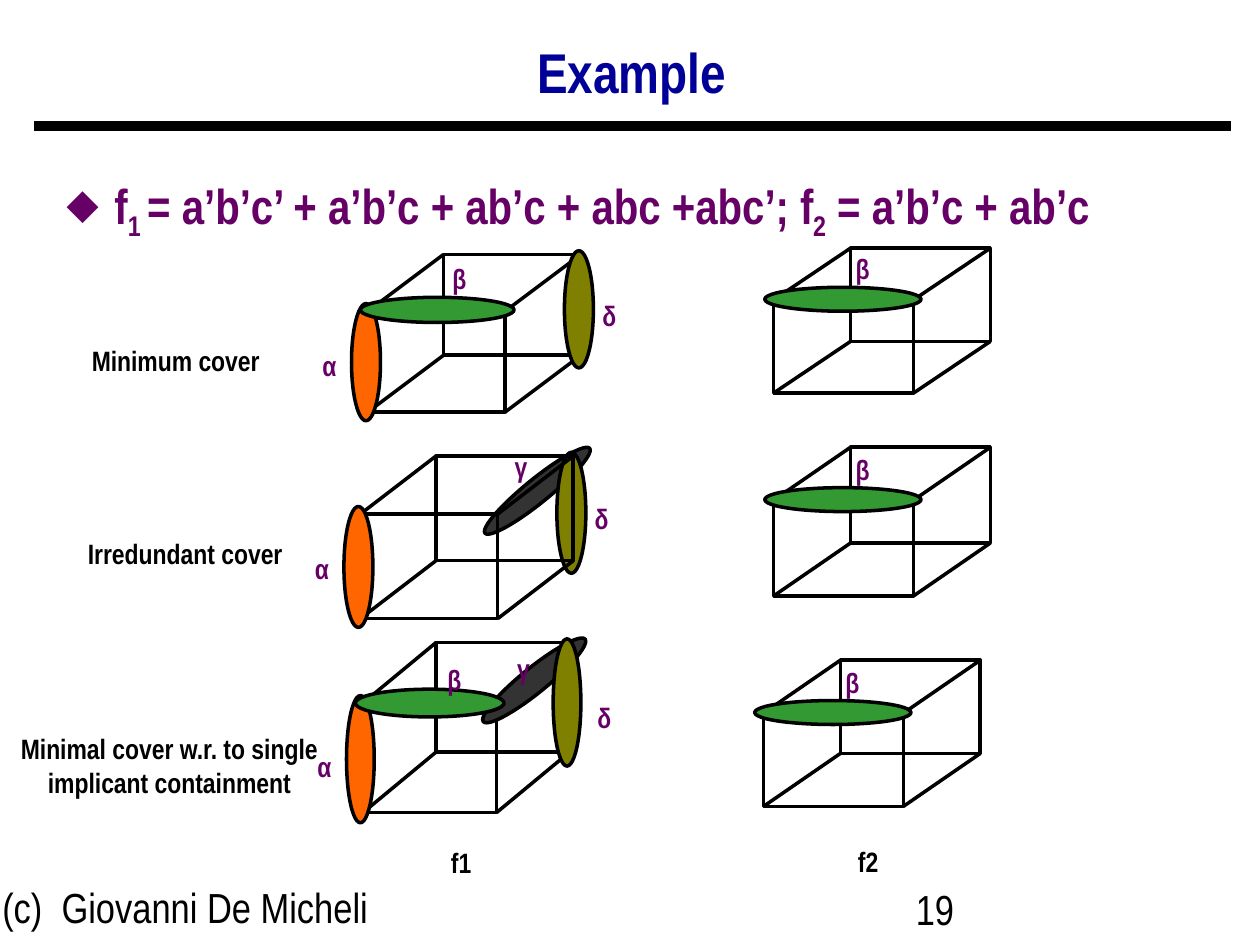
from dataclasses import dataclass

from lxml.etree import SubElement
from pptx import Presentation
from pptx.dml.color import RGBColor
from pptx.enum.shapes import MSO_CONNECTOR, MSO_SHAPE
from pptx.enum.text import MSO_ANCHOR, PP_ALIGN
from pptx.oxml.ns import qn
from pptx.util import Inches, Pt

BLACK = RGBColor(0x00, 0x00, 0x00)
NAVY = RGBColor(0x00, 0x00, 0x99)
PURPLE = RGBColor(0x66, 0x00, 0x66)
GREEN = RGBColor(0x33, 0x99, 0x33)
ORANGE = RGBColor(0xFF, 0x66, 0x00)
OLIVE = RGBColor(0x80, 0x80, 0x00)
GRAY = RGBColor(0x33, 0x33, 0x33)
FONT = "Arial Narrow"


@dataclass
class Cube:
    """Front face at x, y; the back face is moved right by dx and up by dy."""
    x: float
    y: float
    w: float
    h: float
    dx: float
    dy: float


@dataclass
class Oval:
    x: float
    y: float
    w: float
    h: float
    fill: RGBColor
    turn: float = 0


@dataclass
class Label:
    text: str
    x: float
    y: float
    w: float = 0.31
    h: float = 0.37


@dataclass
class Cover:
    name: Label
    first: Cube
    under: list[Oval]
    over: list[Oval]
    marks: list[Label]
    second: Cube


COVERS = [
    Cover(
        Label("Minimum cover", 0.59, 2.68, 1.61),
        Cube(2.92, 2.47, 1.09, 0.8, 0.6, 0.45),
        [],
        [Oval(2.79, 2.41, 0.23, 0.93, ORANGE),
         Oval(2.86, 2.36, 1.22, 0.2, GREEN),
         Oval(4.48, 1.99, 0.23, 0.93, OLIVE)],
        [Label("α", 2.46, 2.72), Label("β", 3.49, 2.03), Label("δ", 4.68, 2.32)],
        Cube(6.14, 2.38, 1.11, 0.74, 0.61, 0.41),
    ),
    Cover(
        Label("Irredundant cover", 0.47, 4.21, 2),
        Cube(2.86, 4.08, 1.09, 0.83, 0.6, 0.46),
        [Oval(3.73, 3.8, 1.07, 0.19, GRAY, 321),
         Oval(4.42, 3.59, 0.23, 0.96, OLIVE)],
        [Oval(2.73, 4.02, 0.23, 0.96, ORANGE)],
        [Label("α", 2.4, 4.33), Label("γ", 3.98, 3.52), Label("δ", 4.62, 3.93)],
        Cube(6.14, 3.97, 1.11, 0.76, 0.61, 0.42),
    ),
    Cover(
        Label("Minimal cover w.r. to single implicant containment",
              -0.04, 5.76, 2.77, 0.64),
        Cube(2.88, 5.58, 1.06, 0.87, 0.58, 0.48),
        [],
        [Oval(2.75, 5.52, 0.22, 1.01, ORANGE),
         Oval(3.72, 5.3, 1.04, 0.2, GRAY, 321),
         Oval(2.82, 5.47, 1.18, 0.22, GREEN),
         Oval(4.39, 5.07, 0.22, 1.01, OLIVE)],
        [Label("α", 2.42, 5.9), Label("β", 3.45, 5.21),
         Label("γ", 4, 5.12), Label("δ", 4.64, 5.51)],
        Cube(6.06, 5.66, 1.11, 0.74, 0.61, 0.42),
    ),
]

# Text and subscript flag of each part of the formula
TERMS = [("f", False), ("1 ", True),
         ("= a’b’c’ + a’b’c + ab’c + abc +abc’; f", False),
         ("2", True), (" = a’b’c + ab’c", False)]


def add_text(slide, label: Label, size=16, color=BLACK, bold=True, wrap=True,
             align=PP_ALIGN.CENTER, anchor=MSO_ANCHOR.TOP, lead=None):
    box = slide.shapes.add_textbox(Inches(label.x), Inches(label.y),
                                   Inches(label.w), Inches(label.h))
    frame = box.text_frame
    frame.word_wrap = wrap
    frame.vertical_anchor = anchor
    para = frame.paragraphs[0]
    para.alignment = align
    para.line_spacing = lead
    if label.text:
        para.add_run().text = label.text
    font = para.font
    font.name, font.size, font.bold = FONT, Pt(size), bold
    font.color.rgb = color
    for run in para.runs:
        style(run.font, size, color, bold)
    return para


def style(font, size: float, color: RGBColor, bold: bool) -> None:
    font.name, font.size, font.bold = FONT, Pt(size), bold
    font.color.rgb = color


def add_line(slide, x: float, y: float, to_x: float, to_y: float,
             width: float = 2) -> None:
    line = slide.shapes.add_connector(MSO_CONNECTOR.STRAIGHT, Inches(x), Inches(y),
                                      Inches(to_x), Inches(to_y))
    line.line.color.rgb = BLACK
    line.line.width = Pt(width)
    SubElement(line._element.spPr, qn("a:effectLst"))


def add_form(slide, kind, x: float, y: float, w: float, h: float):
    form = slide.shapes.add_shape(kind, Inches(x), Inches(y), Inches(w), Inches(h))
    form.shadow.inherit = False
    form.fill.background()
    form.line.color.rgb = BLACK
    form.line.width = Pt(2)
    return form


def add_cube(slide, c: Cube) -> None:
    for x, y in ((c.x + c.dx, c.y - c.dy), (c.x, c.y)):
        add_form(slide, MSO_SHAPE.RECTANGLE, x, y, c.w, c.h)
    for x in (c.x, c.x + c.w):
        for y in (c.y, c.y + c.h):
            add_line(slide, x, y, x + c.dx, y - c.dy)


def add_oval(slide, o: Oval) -> None:
    form = add_form(slide, MSO_SHAPE.OVAL, o.x, o.y, o.w, o.h)
    form.fill.solid()
    form.fill.fore_color.rgb = o.fill
    form.rotation = o.turn


def add_mark(slide, mark: Label) -> None:
    add_text(slide, mark, color=PURPLE, wrap=False)


def add_cover(slide, cover: Cover) -> None:
    add_text(slide, cover.name)
    # First function
    for oval in cover.under:
        add_oval(slide, oval)
    add_cube(slide, cover.first)
    for oval in cover.over:
        add_oval(slide, oval)
    for mark in cover.marks:
        add_mark(slide, mark)
    # Second function: one implicant on the top left edge
    cube = cover.second
    add_cube(slide, cube)
    add_oval(slide, Oval(cube.x - 0.07, cube.y - 0.1, 1.24, 0.19, GREEN))
    add_mark(slide, Label("β", cube.x + 0.55, cube.y - 0.43))


def add_terms(slide) -> None:
    para = add_text(slide, Label("", 0.25, 1.21, 9.01, 5.66), size=28,
                    color=PURPLE, align=PP_ALIGN.LEFT, lead=1.25)
    props = para._p.get_or_add_pPr()
    props.set("marL", str(Inches(0.56)))
    props.set("indent", str(-Inches(0.38)))
    # Bullet parts go before the default run format
    mark = SubElement(props, qn("a:buChar"), char="◆")
    size = SubElement(props, qn("a:buSzPct"), val="85000")
    tint = SubElement(props, qn("a:buClr"))
    SubElement(tint, qn("a:srgbClr"), val=str(PURPLE))
    base = props.find(qn("a:defRPr"))
    for part in (tint, size, mark):
        base.addprevious(part)
    for text, low in TERMS:
        run = para.add_run()
        run.text = text
        style(run.font, 28, PURPLE, True)
        if low:
            run.font._element.set("baseline", "-25000")


def main() -> None:
    deck = Presentation()
    deck.slide_width, deck.slide_height = Inches(10), Inches(7.5)
    slide = deck.slides.add_slide(deck.slide_layouts[6])
    # Heading and formula
    add_line(slide, 0.27, 1, 9.77, 1, width=6)
    add_text(slide, Label("Example", 0.26, 0.22, 9.51, 0.75), size=32, color=NAVY,
             anchor=MSO_ANCHOR.MIDDLE, lead=0.9)
    add_terms(slide)
    # Covers and column names
    for cover in COVERS:
        add_cover(slide, cover)
    add_text(slide, Label("f1", 3.46, 6.66, 0.4))
    add_text(slide, Label("f2", 6.69, 6.65, 0.4))
    # Footer
    for label in (Label("(c)  Giovanni De Micheli", -0.08, 6.95, 3.16, 0.52),
                  Label("19", 7.17, 6.96, 2.33, 0.52)):
        add_text(slide, label, size=24, bold=False, align=PP_ALIGN.LEFT)
    deck.save("out.pptx")


if __name__ == "__main__":
    main()
